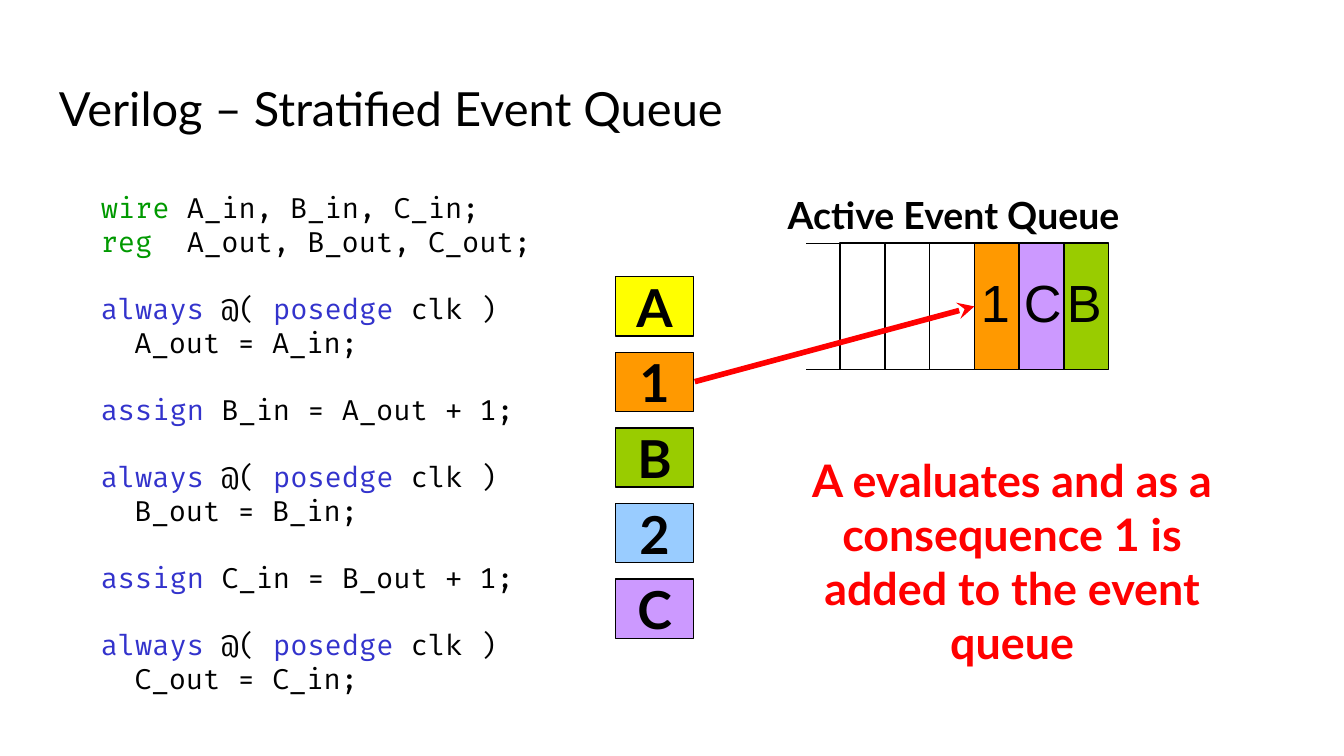
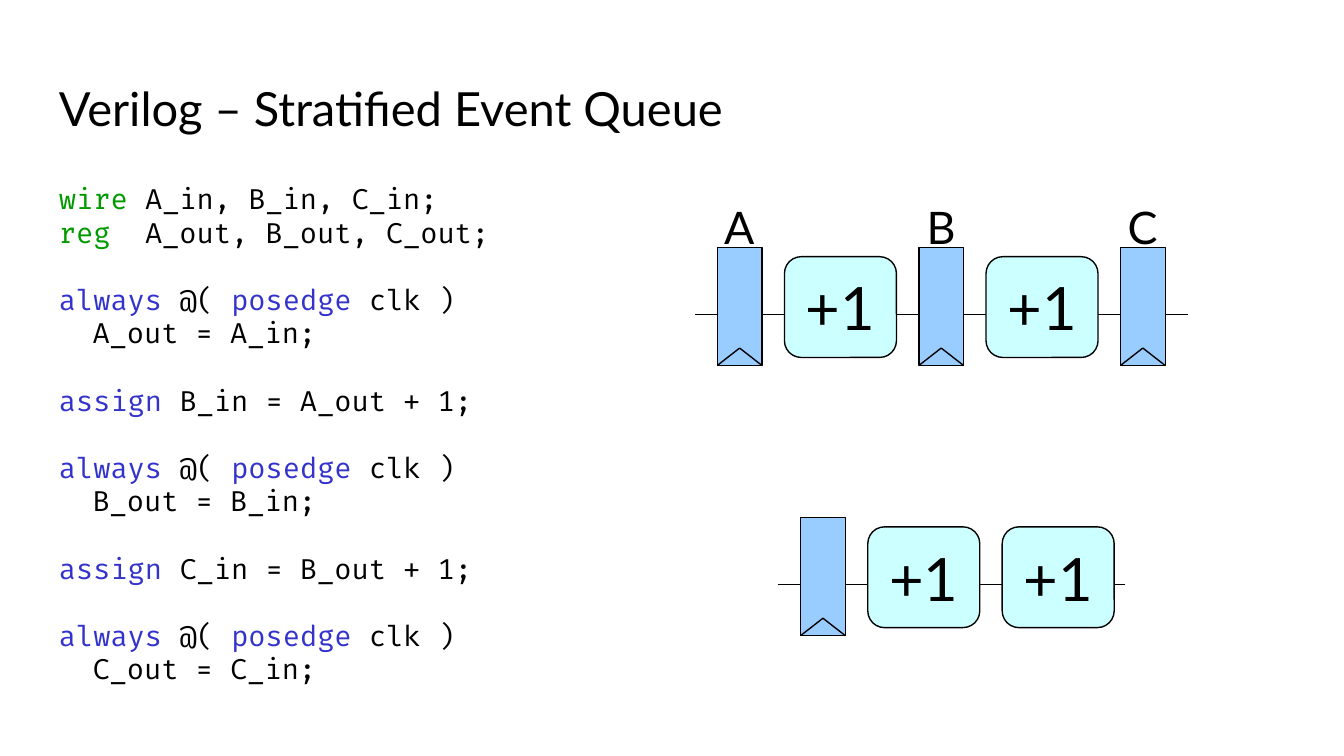
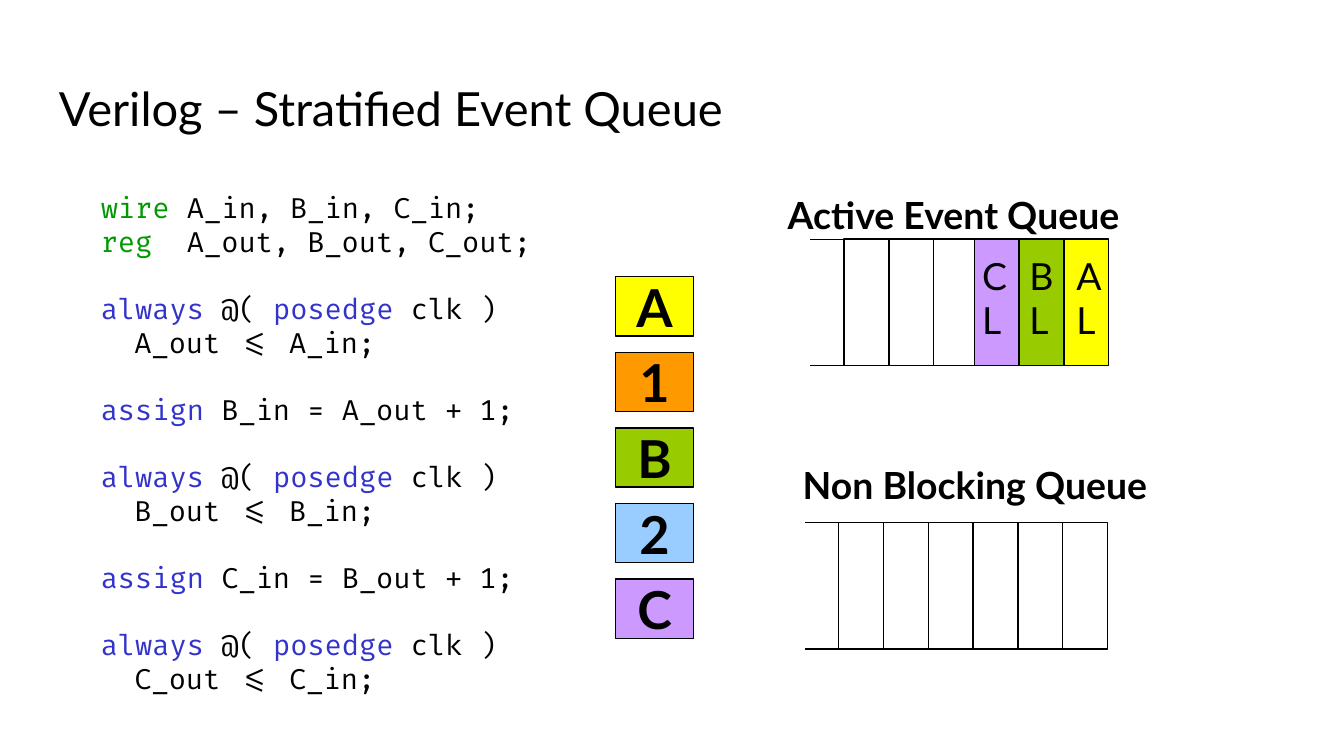
from lxml.etree import SubElement
from pptx import Presentation
from pptx.dml.color import RGBColor
from pptx.enum.shapes import MSO_CONNECTOR, MSO_SHAPE
from pptx.enum.text import MSO_ANCHOR, PP_ALIGN
from pptx.oxml.ns import qn
from pptx.util import Inches, Pt

# Theme: colours, then text styles with insets in inches and sizes in points
COLOURS = {
    "black": "000000", "red": "FF0000", "yellow": "FFFF00", "orange": "FF9900",
    "green": "99CC00", "blue": "99CCFF", "purple": "CC99FF", "cyan": "CCFFFF",
    "type": "009900", "keyword": "3333CC",
}
LEFT, CENTER = PP_ALIGN.LEFT, PP_ALIGN.CENTER
STYLES = {
    "title": dict(size=25.2, align=LEFT, inset=(0.1, 0.1)),
    "code": dict(size=15, font="Fira Code", align=LEFT, inset=(0.1, 0.1)),
    "framed code": dict(size=15, font="Fira Code", align=LEFT, inset=(0.17, 0.17)),
    "event": dict(size=28, bold=True, align=CENTER, inset=(0.1, 0.05)),
    "caption": dict(size=20, bold=True, align=CENTER, inset=(0.1, 0.05)),
    "large cell": dict(size=28, font="Arial", align=LEFT, inset=(0.1, 0.1)),
    "small cell": dict(size=20, align=LEFT, inset=(0.1, 0.1)),
    "callout": dict(size=24, bold=True, colour="red", align=CENTER, inset=(0.1, 0.1)),
    "register": dict(size=24, align=CENTER, inset=(0.1, 0.05)),
    "adder": dict(size=32, align=CENTER, inset=(0.1, 0.05)),
}
THEME = {
    "colours": {name: RGBColor.from_string(value) for name, value in COLOURS.items()},
    "styles": STYLES,
    "line": 0.75,
}
SYNTAX = {"wire": "type", "reg": "type", "always": "keyword",
          "posedge": "keyword", "assign": "keyword"}


def add_box(page, at, shape=None, fill=None, text=None, style=None):
    """Add a text box or a shape; text is a string or (text, gap, indent) lines."""
    place = [Inches(length) for length in at]
    if shape is None:
        box = page.shapes.add_textbox(*place)
    else:
        box = page.shapes.add_shape(shape, *place)
        box.shadow.inherit = False
        box.line.color.rgb = THEME["colours"]["black"]
        box.line.width = Pt(THEME["line"])
        if fill:
            box.fill.solid()
            box.fill.fore_color.rgb = THEME["colours"][fill]
        else:
            box.fill.background()
    if text is None:
        return box

    look = THEME["styles"][style]
    side, end = [Inches(length) for length in look["inset"]]
    frame_format = {
        "word_wrap": True, "margin_left": side, "margin_right": side,
        "margin_top": end, "margin_bottom": end,
        "vertical_anchor": MSO_ANCHOR.MIDDLE if shape else MSO_ANCHOR.TOP,
    }
    for name, value in frame_format.items():
        setattr(box.text_frame, name, value)
    lines = [(text, 0, 0)] if isinstance(text, str) else text
    for index, (line, gap, indent) in enumerate(lines):
        para = box.text_frame.add_paragraph() if index else box.text_frame.paragraphs[0]
        para.alignment = look["align"]
        para.space_before = Pt(gap)
        if indent:
            para._p.get_or_add_pPr().set("marL", str(Inches(indent)))
        for piece in line.split("|"):
            span = para.add_run()
            span.text = piece
            font_format = {"name": look.get("font", "Lato"), "size": Pt(look["size"]),
                           "bold": look.get("bold", False)}
            for name, value in font_format.items():
                setattr(span.font, name, value)
            colour = SYNTAX.get(piece, look.get("colour", "black"))
            span.font.color.rgb = THEME["colours"][colour]
    return box


def add_line(page, start, finish, colour="black", width=THEME["line"], arrow=None):
    """Add a straight line between two points, with an optional arrowhead."""
    points = [Inches(length) for length in (*start, *finish)]
    line = page.shapes.add_connector(MSO_CONNECTOR.STRAIGHT, *points)
    line.line.color.rgb = THEME["colours"][colour]
    line.line.width = Pt(width)
    if arrow:
        SubElement(line.line._get_or_add_ln(), qn("a:tailEnd"), type=arrow)
    SubElement(line._element.spPr, qn("a:effectLst"))


# Widescreen deck, 16 by 9
deck = Presentation()
deck.slide_width, deck.slide_height = Inches(10), Inches(10 * 9 / 16)
pages = [deck.slides.add_slide(deck.slide_layouts[6]) for number in range(3)]
blocking_page, circuit_page, nonblocking_page = pages

# Title and code listing on every page
code_places = [
    (blocking_page, "=", (0.58, 1.25, 4.08, 4.12), "framed code"),
    (circuit_page, "=", (0.34, 1.25, 4.49, 4.12), "code"),
    (nonblocking_page, "<=", (0.58, 1.25, 4.08, 4.12), "framed code"),
]
for page, operator, at, style in code_places:
    add_box(page, (0.34, 0.49, 9.32, 0.63), text="Verilog – Stratified Event Queue",
            style="title")
    code = [("wire| A_in, B_in, C_in;", 0, 0), ("reg|  A_out, B_out, C_out;", 0, 0)]
    for source, signal in ((None, "A"), ("A", "B"), ("B", "C")):
        if source:
            code.append((f"assign| {signal}_in = {source}_out + 1;", 18, 0))
        code.append(("always| @( |posedge| clk )", 18, 0))
        code.append((f"{signal}_out {operator} {signal}_in;", 0, 0.25))
    add_box(page, at, text=code, style=style)

# Column of events
EVENT_STEP = 9 / 16
events = [("A", "yellow"), ("1", "orange"), ("B", "green"), ("2", "blue"), ("C", "purple")]
for page in (blocking_page, nonblocking_page):
    for row, (event, fill) in enumerate(events):
        add_box(page, (4.58, 2.06 + row * EVENT_STEP, 0.58, 0.44), MSO_SHAPE.RECTANGLE,
                fill, event, "event")

# Event queues: six cells, open on the left, filled from the right
CELL, CELL_HEIGHT, FILLED_LEFT = 1 / 3, 0.94, 7.25
queues = [
    dict(page=blocking_page, caption="Active Event Queue", caption_at=(5.69, 1.38, 2.81, 0.44),
         left=6.25, top=1.81, filled=[("1", "orange"), ("C", "purple"), ("B", "green")],
         label_at=(7.2, 1.91, 0.48, 0.67), label_step=0.32, style="large cell"),
    dict(page=nonblocking_page, caption="Active Event Queue",
         caption_at=(5.69, 1.38, 2.81, 0.44), left=6.28, top=1.78,
         filled=[("CL", "purple"), ("BL", "green"), ("AL", "yellow")],
         label_at=(7.21, 1.78, 0.48, 0.88), label_step=0.35, style="small cell"),
    dict(page=nonblocking_page, caption="Non Blocking Queue",
         caption_at=(5.76, 3.39, 2.99, 0.44), left=6.24, top=3.89, filled=[]),
]
for queue in queues:
    page, left, top, filled = [queue[key] for key in ("page", "left", "top", "filled")]
    add_box(page, queue["caption_at"], text=queue["caption"], style="caption")
    for column in range(6 - len(filled)):
        add_box(page, (left + column * CELL, top, CELL, CELL_HEIGHT), MSO_SHAPE.RECTANGLE)
    for edge in (top, top + CELL_HEIGHT):
        add_line(page, (left, edge), (left - 0.25, edge))
    for column, (label, fill) in enumerate(filled):
        add_box(page, (FILLED_LEFT + column * CELL, top, CELL, CELL_HEIGHT),
                MSO_SHAPE.RECTANGLE, fill)
    for column, (label, fill) in enumerate(filled):
        label_left, *label_rest = queue["label_at"]
        add_box(page, (label_left + column * queue["label_step"], *label_rest),
                text=label, style=queue["style"])

# Arrow from event 1 into the queue, and its explanation
add_line(blocking_page, (5.17, 2.84), (7.25, 2.28), "red", 3, "stealth")
add_box(blocking_page, (5.89, 3.27, 3.28, 1.82), style="callout",
        text="A evaluates and as a consequence 1 is added to the event queue")

# Circuits: a wire before each part and one after the last
WIRE, REGISTER, ADDER = 1 / 6, 1 / 3, 5 / 6
circuits = [
    (5.17, 2.34, ["A", "+1", "B", "+1", "C"], WIRE),
    (5.79, 4.35, ["", "+1", "+1"], WIRE / 2),
]
for x, y, parts, last_wire in circuits:
    for part in parts:
        add_line(circuit_page, (x, y), (x + WIRE, y))
        x += WIRE
        if part == "+1":
            adder = add_box(circuit_page, (x, y - 0.43, ADDER, 0.75),
                            MSO_SHAPE.ROUNDED_RECTANGLE, "cyan", part, "adder")
            adder.adjustments[0] = 1 / 6
            x += ADDER
            continue
        add_box(circuit_page, (x, y - 0.5, REGISTER, 0.88), MSO_SHAPE.RECTANGLE, "blue")
        clock_tip = (x + REGISTER / 2, y + 0.25)
        add_line(circuit_page, (x, y + 0.38), clock_tip)
        add_line(circuit_page, clock_tip, (x + REGISTER, y + 0.38))
        if part:
            add_box(circuit_page, (x - 0.05, y - 0.9, 0.43, 0.5), text=part, style="register")
        x += REGISTER
    add_line(circuit_page, (x, y), (x + last_wire, y))

deck.save("out.pptx")
